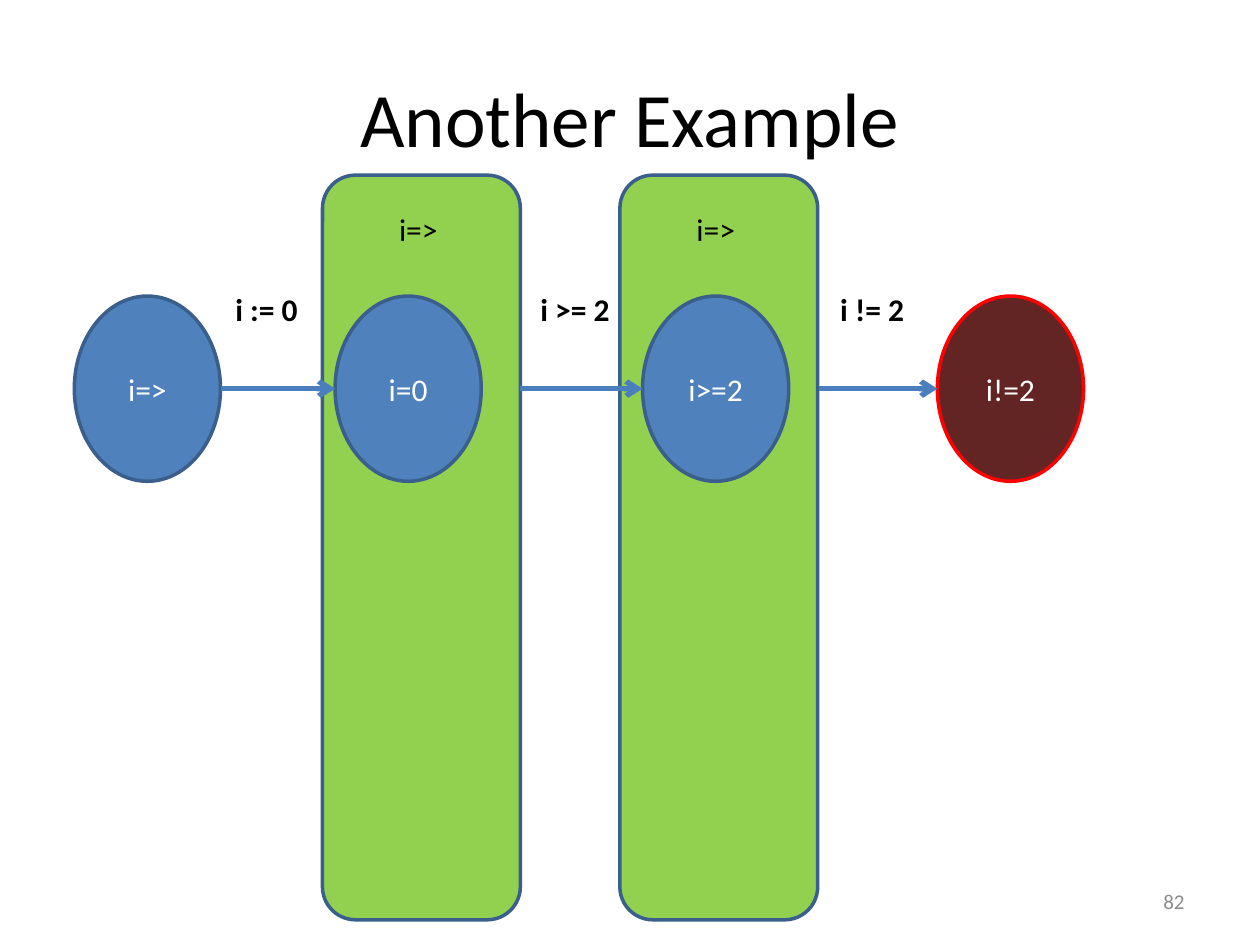
from pptx import Presentation
from pptx.dml.color import RGBColor as RGB
from pptx.enum.shapes import MSO_CONNECTOR as LINK, MSO_SHAPE as SHAPE
from pptx.enum.text import MSO_ANCHOR as ANCHOR, MSO_AUTO_SIZE as FIT, PP_ALIGN as ALIGN
from pptx.oxml.ns import qn
from pptx.util import Inches, Pt
from lxml import etree

COLORS = {
    "green": "92D050", "blue": "4F81BD", "edge": "3A5F8C", "arrow": "4B7EBC",
    "maroon": "632523", "red": "FF0000", "black": "000000", "white": "FFFFFF",
    "gray": "8C8C8C",
}
PANEL_W, PANEL_TOP, PANEL_H = 1.57, 1.39, 5.91
NODE_W, NODE_TOP, NODE_H = 1.16, 2.35, 1.47
MID = NODE_TOP + NODE_H / 2


class Board:
    """Holds the slide and the look of its elements."""

    font = "Calibri"

    def __init__(self, slide):
        self.slide = slide

    def color(self, name):
        return RGB.from_string(COLORS[name])

    def fill_in(self, frame, text, size, color, align, bold=False):
        """Put styled text in a text frame."""
        frame.text = text
        para = frame.paragraphs[0]
        para.alignment = align
        for run in para.runs:
            font = run.font
            font.name, font.size, font.bold = self.font, Pt(size), bold
            font.color.rgb = self.color(color)

    def shape(self, kind, box, fill, edge):
        shape = self.slide.shapes.add_shape(kind, *map(Inches, box))
        shape.shadow.inherit = False
        shape.fill.solid()
        shape.fill.fore_color.rgb = self.color(fill)
        shape.line.color.rgb = self.color(edge)
        shape.line.width = Pt(2)
        return shape

    def panel(self, left):
        box = left, PANEL_TOP, PANEL_W, PANEL_H
        self.shape(SHAPE.ROUNDED_RECTANGLE, box, "green", "edge")

    def node(self, left, text, fill="blue", edge="edge"):
        box = left, NODE_TOP, NODE_W, NODE_H
        frame = self.shape(SHAPE.OVAL, box, fill, edge).text_frame
        frame.vertical_anchor = ANCHOR.MIDDLE
        self.fill_in(frame, text, 18, "white", ALIGN.CENTER)

    def text(self, box, text, size, color, align):
        """Add wrapped text, centred vertically in its box."""
        frame = self.slide.shapes.add_textbox(*map(Inches, box)).text_frame
        frame.word_wrap = True
        frame.vertical_anchor = ANCHOR.MIDDLE
        self.fill_in(frame, text, size, color, align)

    def label(self, box, text, align=ALIGN.LEFT, bold=False):
        """Add one line of text in a box that fits it."""
        frame = self.slide.shapes.add_textbox(*map(Inches, box)).text_frame
        frame.word_wrap = False
        frame.auto_size = FIT.SHAPE_TO_FIT_TEXT
        self.fill_in(frame, text, 18, "black", align, bold)

    def arrow(self, start, end):
        ends = map(Inches, (start, MID, end, MID))
        link = self.slide.shapes.add_connector(LINK.STRAIGHT, *ends)
        link.line.color.rgb = self.color("arrow")
        link.line.width = Pt(3)
        props = link._element.spPr
        tail = etree.SubElement(props.find(qn("a:ln")), qn("a:tailEnd"))
        tail.set("type", "arrow")
        etree.SubElement(props, qn("a:effectLst"))


def main():
    deck = Presentation()
    deck.slide_width, deck.slide_height = Inches(10), Inches(7.5)
    board = Board(deck.slides.add_slide(deck.slide_layouts[6]))

    for left in (2.56, 4.92):
        board.panel(left)
        board.label((left + 0.47, 1.62, 0.58, 0.4), "i=>", ALIGN.CENTER)
    board.text((0.5, 0.3, 9, 1.25), "Another Example", 44, "black", ALIGN.CENTER)

    board.node(0.59, "i=>")
    board.node(2.66, "i=0")
    board.node(5.1, "i>=2")
    board.node(7.44, "i!=2", "maroon", "red")

    steps = [
        (1.75, 2.66, 1.77, 0.7, "i := 0"),
        (4.13, 5.1, 4.19, 0.76, "i >= 2"),
        (6.5, 7.44, 6.57, 0.72, "i != 2"),
    ]
    for start, end, left, width, text in steps:
        board.arrow(start, end)
        board.label((left, 2.25, width, 0.4), text, bold=True)

    board.text((7.17, 6.95, 2.33, 0.4), "82", 12, "gray", ALIGN.RIGHT)
    deck.save("out.pptx")


if __name__ == "__main__":
    main()
